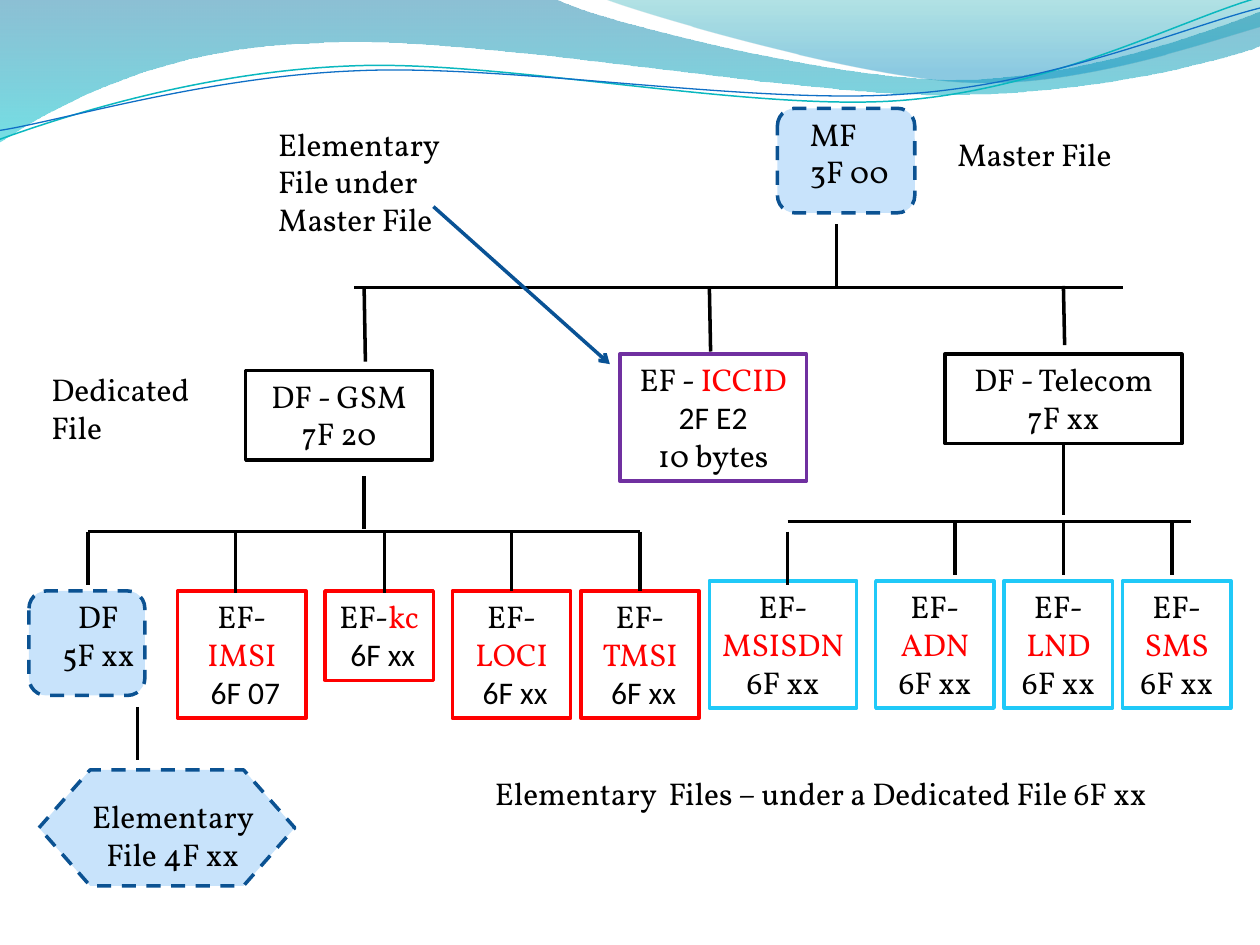
from dataclasses import dataclass

from lxml.etree import SubElement
from pptx import Presentation
from pptx.dml.color import RGBColor
from pptx.enum.dml import MSO_LINE
from pptx.enum.shapes import MSO_CONNECTOR, MSO_SHAPE
from pptx.enum.text import MSO_ANCHOR, MSO_AUTO_SIZE, PP_ALIGN
from pptx.oxml.ns import qn
from pptx.util import Inches, Pt


@dataclass(frozen=True)
class Theme:
    ink: str = "000000"
    red: str = "FF0000"
    cyan: str = "20C9F8"
    plum: str = "7030A0"
    pale: str = "C8E3FB"
    navy: str = "0B5292"
    arrow: str = "095295"
    teal: str = "0AB8BF"
    blue: str = "0F6FC6"
    deep: tuple = ((0, "0074A1", 45), (1, "00C6CF", 55))
    light: tuple = ((0, "00A1A9", 30), (0.8, "008BBF", 45))
    serif: str = "Vollkorn"
    sans: str = "Calibri"
    size: float = 18
    line: float = 2


T = Theme()
LEFT, MID = PP_ALIGN.LEFT, PP_ALIGN.CENTER


def rgb(code):
    return RGBColor.from_string(code)


def place(box, x, y, w, h):
    return Inches(box[0] + x), Inches(box[1] + y), Inches(w), Inches(h)


def write(shape, lines, align=MID):
    frame = shape.text_frame
    frame.word_wrap = True
    frame.auto_size = MSO_AUTO_SIZE.SHAPE_TO_FIT_TEXT
    frame.vertical_anchor = MSO_ANCHOR.TOP
    for i, (text, name, face) in enumerate(lines):
        para = frame.add_paragraph() if i else frame.paragraphs[0]
        para.alignment = align
        para.font.name = face
        para.font.size = Pt(T.size)
        para.add_run().text = text
        if name:
            para.runs[0].font.color.rgb = rgb(T.ink)
            run = para.add_run()
            run.text = name
            run.font.color.rgb = rgb(T.red)
        else:
            para.font.color.rgb = rgb(T.ink)


def plain(*texts):
    return [(text, "", T.serif) for text in texts]


def label(slide, box, spot, texts, align=LEFT):
    write(slide.shapes.add_textbox(*place(box, *spot)), plain(*texts), align)


def card(slide, box, spot, color, lines):
    shape = slide.shapes.add_shape(MSO_SHAPE.RECTANGLE, *place(box, *spot))
    shape.shadow.inherit = False
    shape.fill.background()
    shape.line.color.rgb = rgb(color)
    shape.line.width = Pt(T.line)
    write(shape, lines)
    return shape


def badge(slide, kind, box, spot):
    shape = slide.shapes.add_shape(kind, *place(box, *spot))
    shape.shadow.inherit = False
    shape.fill.solid()
    shape.fill.fore_color.rgb = rgb(T.pale)
    shape.line.color.rgb = rgb(T.navy)
    shape.line.width = Pt(T.line)
    shape.line.dash_style = MSO_LINE.DASH


def wire(slide, box, start, end, color=T.ink):
    ends = place(box, *start, 0, 0)[:2] + place(box, *end, 0, 0)[:2]
    link = slide.shapes.add_connector(MSO_CONNECTOR.STRAIGHT, *ends)
    link.line.color.rgb = rgb(color)
    link.line.width = Pt(T.line)
    SubElement(link._element.spPr, qn("a:effectLst"))
    return link


def trace(slide, box, legs, close):
    spots = [spot for leg in legs for spot in zip(leg[::2], leg[1::2])]
    first, *rest = [place(box, *spot, 0, 0)[:2] for spot in spots]
    pen = slide.shapes.build_freeform(*first, scale=1.0)
    pen.add_line_segments(rest, close=close)
    shape = pen.convert_to_shape()
    shape.shadow.inherit = False
    nodes = iter(list(shape._element.iter(qn("a:lnTo"))))
    for leg in legs[1:]:
        node = next(nodes)
        if len(leg) == 6:
            node.tag = qn("a:cubicBezTo")
            for extra in (next(nodes), next(nodes)):
                node.append(extra[0])
                extra.getparent().remove(extra)
    return shape


def swath(slide, box, legs, stops):
    shape = trace(slide, box, legs, True)
    shape.line.fill.background()
    shape.fill.gradient()
    shape.fill.gradient_angle = 270
    for stop, (at, color, _) in zip(shape.fill.gradient_stops, stops):
        stop.position = at
        stop.color.rgb = rgb(color)
    for node, (_, _, alpha) in zip(shape._element.iter(qn("a:srgbClr")), stops):
        SubElement(node, qn("a:alpha"), val=str(alpha * 1000))


def strand(slide, box, legs, color, width):
    shape = trace(slide, box, legs, False)
    shape.rotation = 357.3
    shape.fill.background()
    shape.line.color.rgb = rgb(color)
    shape.line.width = Pt(width)


def waves(slide, box):
    swath(slide, box, [(0, 0), (4.4, -0.01),
                       (4.76, 0.17, 6.64, 0.63, 7.58, 0.63),
                       (8.53, 0.63, 9.58, 0.26, 10, 0.09), (10.01, 0.36),
                       (9.83, 0.44, 8.7, 0.76, 7.46, 0.75),
                       (6.22, 0.75, 3.82, 0.28, 2.57, 0.34),
                       (1.29, 0.36, 0.46, 0.83, -0.01, 1.13), (0, 0)], T.deep)
    swath(slide, box, [(4.79, -0.01),
                       (5.09, 0.11, 6.82, 0.62, 7.69, 0.65),
                       (8.56, 0.69, 9.61, 0.32, 10, 0.21),
                       (10, 0), (4.79, -0.01)], T.light)
    strand(slide, box, [(-0.02, 0.87),
                        (0.47, 0.72, 1.58, 0.41, 2.78, 0.42),
                        (3.96, 0.42, 5.91, 0.93, 7.12, 0.9),
                        (8.32, 0.87, 9.4, 0.36, 10, 0.22)], T.teal, 0.85)
    strand(slide, box, [(-0.02, 0.8),
                        (0.46, 0.75, 1.64, 0.45, 2.83, 0.46),
                        (4.03, 0.46, 5.96, 0.88, 7.16, 0.85),
                        (8.35, 0.83, 9.42, 0.42, 10.02, 0.3)], T.blue, 0.75)


def master(slide, box):
    badge(slide, MSO_SHAPE.ROUNDED_RECTANGLE, box, (4.06, 0, 1.09, 0.83))
    label(slide, box, (4.22, 0, 0.94, 0.75), ["MF", "3F 00"])
    label(slide, box, (5.39, 0.16, 1.88, 0.4), ["Master File"])
    label(slide, box, (0, 0.08, 1.64, 1.01), ["Elementary  File under Master File"])
    lines = [("EF - ", "ICCID", T.serif), ("2F E2", "", T.sans), ("10 bytes", "", T.serif)]
    card(slide, box, (2.81, 1.95, 1.48, 1.01), T.plum, lines)
    wire(slide, box, (0.7, 1.42), (6.8, 1.42))
    wire(slide, box, (4.53, 0.92), (4.53, 1.42))
    wire(slide, box, (0.78, 1.42), (0.79, 2.01))
    wire(slide, box, (3.52, 1.42), (3.53, 1.93))
    wire(slide, box, (6.33, 1.41), (6.34, 1.88))
    arrow = wire(slide, box, (1.33, 0.78), (2.73, 2.03), T.arrow)
    SubElement(arrow.line._get_or_add_ln(), qn("a:tailEnd"), type="arrow")


def gsm(slide, box):
    card(slide, box, (1.72, 0.05, 1.48, 0.71), T.ink, plain("DF - GSM", "7F 20"))
    label(slide, box, (0.08, 0, 1.41, 0.71), ["Dedicated File"])
    wire(slide, box, (2.66, 0.89), (2.66, 1.31))
    wire(slide, box, (0.47, 1.33), (4.85, 1.33))
    wire(slide, box, (0.47, 1.33), (0.47, 1.75))
    badge(slide, MSO_SHAPE.ROUNDED_RECTANGLE, box, (0, 1.8, 0.92, 0.83))
    label(slide, box, (0.16, 1.8, 0.78, 0.71), ["DF", "5F xx"], MID)
    wire(slide, box, (0.86, 2.72), (0.86, 3.14))
    badge(slide, MSO_SHAPE.FLOWCHART_PREPARATION, box, (0.08, 3.22, 2.03, 0.92))
    label(slide, box, (0.32, 3.39, 1.64, 0.75), ["Elementary File 4F xx"], MID)
    for name, code, x, w, h, drop, join in (
            ("IMSI", " 6F 07", 1.18, 1.02, 1.01, 1.64, False),
            ("kc", " 6F xx", 2.35, 0.86, 0.71, 2.82, False),
            ("LOCI", " 6F xx", 3.36, 0.94, 1.01, 3.83, True),
            ("TMSI", " 6F xx", 4.38, 0.94, 1.01, 4.85, True)):
        lines = [("EF-", name, T.serif), (code, "", T.sans)]
        leaf = card(slide, box, (x, 1.8, w, h), T.red, lines)
        stem = wire(slide, box, (drop, 1.33), (drop, 1.82))
        if join:
            stem.end_connect(leaf, 0)


def telecom(slide, box):
    root = card(slide, box, (1.87, 0, 1.88, 0.71), T.ink, plain("DF - Telecom", "7F xx"))
    wire(slide, box, (2.81, 0.71), (2.81, 1.28)).begin_connect(root, 2)
    wire(slide, box, (0.62, 1.33), (3.82, 1.33))
    for name, x, w, drop, y in (("MSISDN", 0, 1.17, 0.62, 1.41),
                                ("ADN", 1.32, 0.94, 1.95, 1.33),
                                ("LND", 2.34, 0.86, 2.81, 1.33),
                                ("SMS", 3.28, 0.86, 3.67, 1.33)):
        lines = [("EF-", name, T.serif), ("6F xx", "", T.serif)]
        card(slide, box, (x, 1.8, w, 1.01), T.cyan, lines)
        wire(slide, box, (drop, y), (drop, y + 0.42))


def main():
    deck = Presentation()
    deck.slide_width, deck.slide_height = Inches(10), Inches(7.5)
    slide = deck.slides.add_slide(deck.slide_layouts[6])
    waves(slide, (0, 0))
    master(slide, (2.11, 0.86))
    gsm(slide, (0.23, 2.89))
    telecom(slide, (5.63, 2.81))
    label(slide, (3.83, 6.09), (0, 0, 5.98, 0.4),
          ["Elementary  Files – under a Dedicated File 6F xx"])
    deck.save("out.pptx")


if __name__ == "__main__":
    main()
